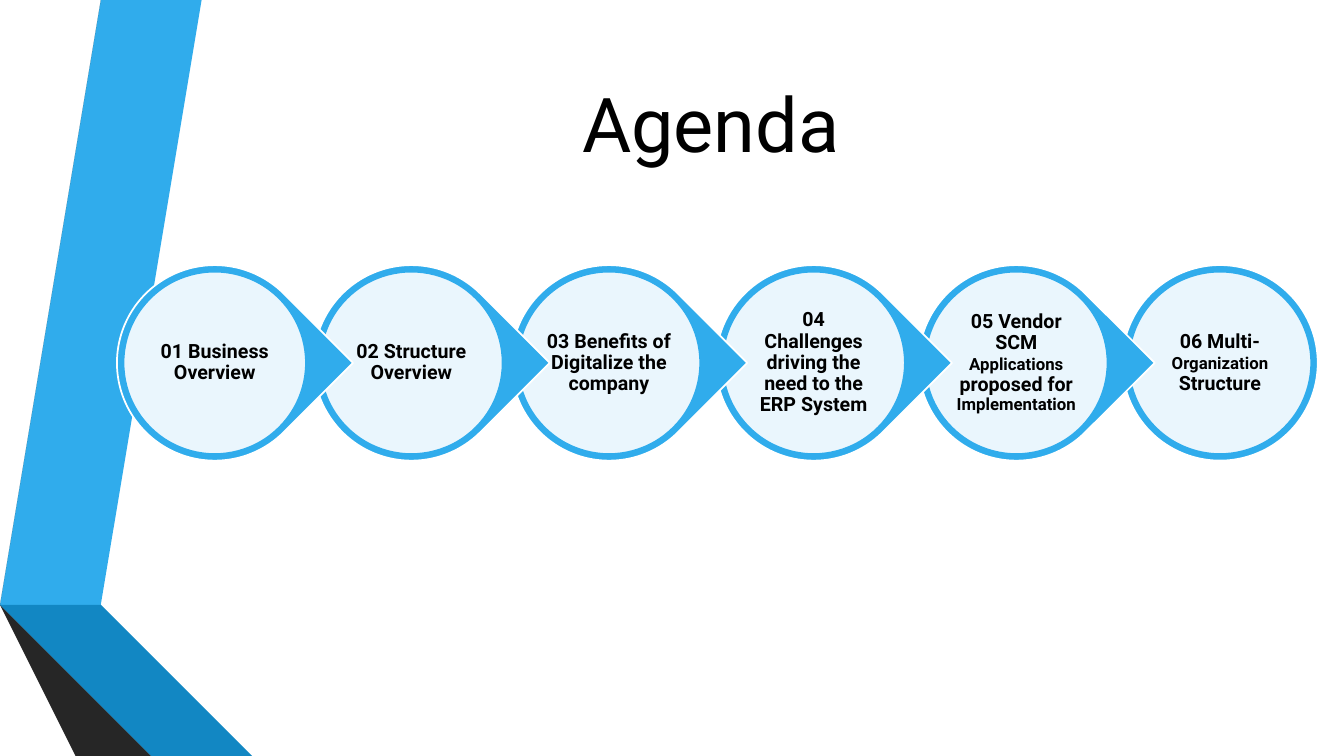
from lxml import etree
from pptx import Presentation
from pptx import util as u
from pptx.dml.color import RGBColor
from pptx.enum import shapes, text
from pptx.oxml.ns import qn

BLACK = RGBColor(0x00, 0x00, 0x00)
WHITE = RGBColor(0xFF, 0xFF, 0xFF)
BLUE = RGBColor(0x30, 0xAC, 0xEC)
MID_BLUE = RGBColor(0x12, 0x87, 0xC3)
DEEP_BLUE = RGBColor(0x0C, 0x5A, 0x82)
GREY = RGBColor(0x59, 0x59, 0x59)
DARK_GREY = RGBColor(0x40, 0x40, 0x40)
NEAR_BLACK = RGBColor(0x26, 0x26, 0x26)

presentation = Presentation()
presentation.slide_width = u.Inches(13.33)
presentation.slide_height = u.Inches(7.5)
slide = presentation.slides.add_slide(presentation.slide_layouts[5])


def add_marker(kind, left, top, size, fill, line):
    """Add one square-framed shape of an agenda step."""
    shape = slide.shapes.add_shape(kind, *map(u.Inches, (left, top, size, size)))
    shape.shadow.inherit = False
    shape.fill.solid()
    shape.fill.fore_color.rgb = fill
    shape.line.color.rgb = line
    shape.line.width = u.Pt(1.25)
    return shape


def add_run(paragraph, words, size, bold):
    run = paragraph.add_run()
    run.text = words
    font = {"name": "Roboto", "size": u.Pt(size), "bold": bold}
    for name, value in font.items():
        setattr(run.font, name, value)
    run.font.color.rgb = BLACK


# Folded ribbons along the left edge
ribbons = [
    (BLUE, [(0.5, 5.78), (0.77, 5.83), (1.73, 0), (1.45, 0)]),
    (GREY, [(1.39, 0), (1.11, 0), (0.16, 5.73), (0.44, 5.77)]),
    (NEAR_BLACK, [(0.16, 5.73), (1.45, 7.5), (1.51, 7.5)]),
    (DEEP_BLUE, [(0.5, 5.79), (2.08, 7.5), (2.14, 7.5)]),
    (MID_BLUE, [(0.5, 5.78), (2.14, 7.5), (2.83, 7.5), (0.77, 5.83)]),
    (DARK_GREY, [(2.02, 7.5), (0.48, 5.83), (0.44, 5.77), (0.16, 5.73), (1.51, 7.5)]),
]
for color, points in ribbons:
    builder = slide.shapes.build_freeform(*points[0], scale=u.Inches(1))
    builder.add_line_segments(points[1:], close=True)
    ribbon = builder.convert_to_shape()
    ribbon.shadow.inherit = False
    ribbon.fill.solid()
    ribbon.fill.fore_color.rgb = color
    ribbon.line.fill.background()

# Title
title = slide.shapes.title
title_place = {"left": 1.57, "top": 0.25, "width": 10.96, "height": 1.92}
for side, length in title_place.items():
    setattr(title, side, u.Inches(length))
title.text_frame.vertical_anchor = text.MSO_ANCHOR.MIDDLE
heading = title.text_frame.paragraphs[0]
heading.alignment = text.PP_ALIGN.CENTER
add_run(heading, "Agenda", 54, False)

# Agenda steps: left edge, then runs of (words, size); None is a line break
steps = [
    (1.16, [("01 Business Overview", 14)]),
    (3.11, [("02 Structure Overview", 14)]),
    (5.07, [("03 Benefits of Digitalize the company", 14)]),
    (7.10, [("04", 14), None, ("Challenges driving the need to the ERP System", 14)]),
    (9.11, [("05 Vendor SCM ", 14), ("Applications", 12),
            (" proposed for ", 14), ("Implementation", 12)]),
    (11.13, [("06 Multi- ", 14), ("Organization", 12), (" Structure", 14)]),
]
MARKER_TOP, MARKER_SIZE = 2.63, 1.94
DISC_INSET, LABEL_INSET = 0.065, 0.325

# Later steps go to the back, so that each arrow tip overlaps the next step
for left, runs in reversed(steps):
    is_last = left == steps[-1][0]
    kind = shapes.MSO_SHAPE.OVAL if is_last else shapes.MSO_SHAPE.TEAR
    marker = add_marker(kind, left, MARKER_TOP, MARKER_SIZE, BLUE, WHITE)
    marker.rotation = 0 if is_last else 45

    disc = add_marker(shapes.MSO_SHAPE.OVAL, left + DISC_INSET, MARKER_TOP + DISC_INSET,
                      MARKER_SIZE - 2 * DISC_INSET, WHITE, BLUE)
    disc_color = disc._element.spPr.find(qn("a:solidFill"))[0]
    etree.SubElement(disc_color, qn("a:alpha")).set("val", "90000")

    label_size = u.Inches(MARKER_SIZE - 2 * LABEL_INSET)
    label = slide.shapes.add_textbox(u.Inches(left + LABEL_INSET),
                                     u.Inches(MARKER_TOP + LABEL_INSET),
                                     label_size, label_size)
    frame = label.text_frame
    frame.word_wrap = True
    frame.vertical_anchor = text.MSO_ANCHOR.MIDDLE
    for side in ("left", "top", "right", "bottom"):
        setattr(frame, f"margin_{side}", u.Inches(0.02))
    paragraph = frame.paragraphs[0]
    paragraph.alignment = text.PP_ALIGN.CENTER
    paragraph.line_spacing = 0.9
    for run in runs:
        if run is None:
            paragraph.add_line_break()
        else:
            add_run(paragraph, *run, True)

presentation.save("out.pptx")
